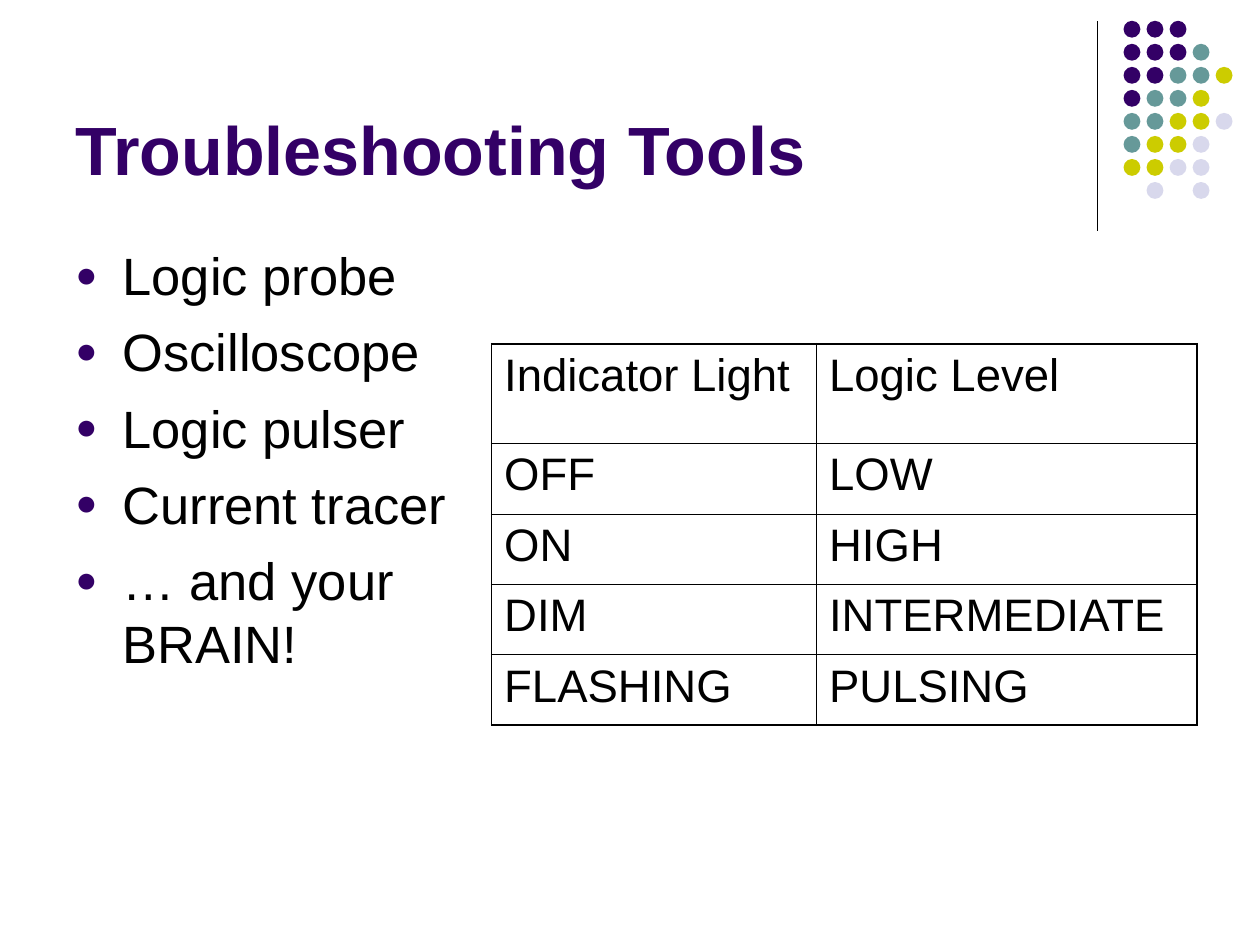
from typing import NamedTuple

from lxml import etree
from pptx import Presentation, util as u
from pptx.dml.color import RGBColor
from pptx.enum import shapes, text
from pptx.oxml import ns

BLACK = RGBColor(0x00, 0x00, 0x00)
PURPLE = RGBColor(0x33, 0x00, 0x66)
TEAL = RGBColor(0x66, 0x99, 0x99)
OLIVE = RGBColor(0xCC, 0xCC, 0x00)
LAVENDER = RGBColor(0xD8, 0xD8, 0xEC)
FONT = "Arial"

# One letter per dot, a space where there is none
DOT_COLORS = {"P": PURPLE, "T": TEAL, "O": OLIVE, "L": LAVENDER}
DOT_ROWS = ["PPP", "PPPT", "PPTTO", "PTTO", "TTOOL", "TOOL", "OOLL", " L L"]
DOT_SIZE = u.Cm(0.34)
DOT_PITCH = u.Cm(3.25) / 7

TOOLS = ["Logic probe", "Oscilloscope", "Logic pulser", "Current tracer",
         "… and your \vBRAIN!"]


class Box(NamedTuple):
    left: float
    top: float
    width: float
    height: float


class Reading(NamedTuple):
    light: str
    level: str


READINGS = [
    Reading("Indicator Light", "Logic Level"),
    Reading("OFF", "LOW"),
    Reading("ON", "HIGH"),
    Reading("DIM", "INTERMEDIATE"),
    Reading("FLASHING", "PULSING"),
]
COLUMN_WIDTHS = [u.Cm(6.55), u.Cm(7.67)]
ROW_HEIGHTS = [u.Cm(2.01)] + [u.Cm(1.42)] * 4
OUTER_BORDER, INNER_BORDER = u.Pt(1.08), u.Pt(0.45)


def set_font(paragraph, size: float, color: RGBColor, bold: bool = False) -> None:
    font = paragraph.font
    font.name, font.size, font.bold = FONT, u.Pt(size), bold
    font.color.rgb = color


def add_text_frame(slide, box: Box):
    frame = slide.shapes.add_textbox(*(u.Cm(value) for value in box)).text_frame
    frame.word_wrap = True
    return frame


def add_bullet(paragraph) -> None:
    properties = paragraph._p.get_or_add_pPr()
    properties.set("marL", str(u.Cm(0.95)))
    properties.set("indent", str(-u.Cm(0.95)))
    color = etree.SubElement(properties, ns.qn("a:buClr"))
    etree.SubElement(color, ns.qn("a:srgbClr"), val=str(PURPLE))
    etree.SubElement(properties, ns.qn("a:buSzPct"), val="70000")
    etree.SubElement(properties, ns.qn("a:buFont"), typeface=FONT)
    etree.SubElement(properties, ns.qn("a:buChar"), char="●")


def add_divider(slide) -> None:
    line = slide.shapes.add_connector(shapes.MSO_CONNECTOR.STRAIGHT, u.Cm(22.12),
                                      u.Cm(0.43), u.Cm(22.12), u.Cm(4.65))
    line.line.color.rgb = BLACK
    line.line.width = u.Pt(0.75)
    etree.SubElement(line._element.spPr, ns.qn("a:effectLst"))


def add_dots(slide) -> None:
    group = slide.shapes.add_group_shape()
    for row, letters in enumerate(DOT_ROWS):
        for column, letter in enumerate(letters):
            if letter == " ":
                continue
            dot = group.shapes.add_shape(
                shapes.MSO_SHAPE.OVAL,
                round(u.Cm(22.65) + column * DOT_PITCH),
                round(u.Cm(0.42) + row * DOT_PITCH), DOT_SIZE, DOT_SIZE)
            dot.shadow.inherit = False
            dot.fill.solid()
            dot.fill.fore_color.rgb = DOT_COLORS[letter]
            dot.line.fill.background()


def set_borders(cell, widths: dict[str, int]) -> None:
    properties = cell._tc.get_or_add_tcPr()
    for position, (side, width) in enumerate(widths.items()):
        border = etree.Element(ns.qn(f"a:ln{side}"), w=str(width))
        fill = etree.SubElement(border, ns.qn("a:solidFill"))
        etree.SubElement(fill, ns.qn("a:srgbClr"), val=str(BLACK))
        properties.insert(position, border)


def add_readings_table(slide, readings: list[Reading]) -> None:
    table = slide.shapes.add_table(
        len(readings), len(COLUMN_WIDTHS), u.Cm(9.91), u.Cm(6.93),
        sum(COLUMN_WIDTHS), sum(ROW_HEIGHTS)).table
    table.first_row = table.horz_banding = False
    for column, width in zip(table.columns, COLUMN_WIDTHS):
        column.width = width
    for row, height in zip(table.rows, ROW_HEIGHTS):
        row.height = height

    last_row, last_column = len(readings) - 1, len(COLUMN_WIDTHS) - 1
    for row, reading in enumerate(readings):
        for column, wording in enumerate(reading):
            cell = table.cell(row, column)
            cell.fill.background()
            edges = {"L": column == 0, "R": column == last_column,
                     "T": row == 0, "B": row == last_row}
            set_borders(cell, {side: OUTER_BORDER if outer else INNER_BORDER
                               for side, outer in edges.items()})
            paragraph = cell.text_frame.paragraphs[0]
            paragraph.text = wording
            set_font(paragraph, 26, BLACK)


def main() -> None:
    presentation = Presentation()
    presentation.slide_width, presentation.slide_height = u.Cm(25.4), u.Cm(19.05)
    slide = presentation.slides.add_slide(presentation.slide_layouts[6])

    # Corner decoration
    add_divider(slide)
    add_dots(slide)

    # Title
    title = add_text_frame(slide, Box(1.27, 0.33, 20.96, 3.61))
    title.vertical_anchor = text.MSO_ANCHOR.BOTTOM
    title.paragraphs[0].text = "Troubleshooting Tools"
    set_font(title.paragraphs[0], 39, PURPLE, bold=True)

    # Tool list
    body = add_text_frame(slide, Box(1.27, 4.78, 22.86, 12.24))
    for index, tool in enumerate(TOOLS):
        paragraph = body.add_paragraph() if index else body.paragraphs[0]
        paragraph.text = tool
        add_bullet(paragraph)
        if index:
            paragraph.space_before = u.Pt(7.5)
        set_font(paragraph, 30, BLACK)

    # Probe readings
    add_readings_table(slide, READINGS)

    presentation.save("out.pptx")


if __name__ == "__main__":
    main()
